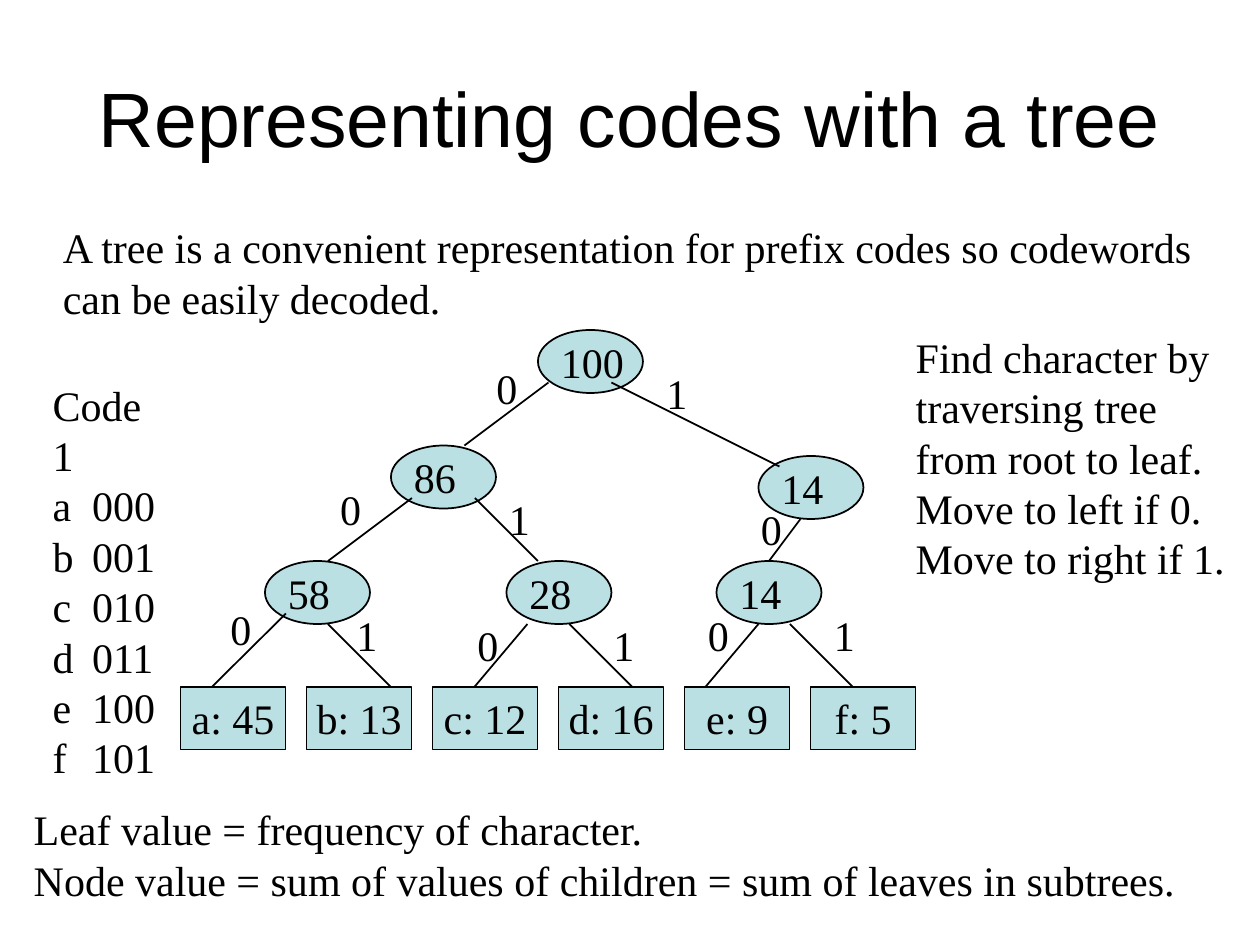
from pptx import Presentation
from pptx.dml.color import RGBColor
from pptx.enum.shapes import MSO_CONNECTOR, MSO_SHAPE
from pptx.enum.text import MSO_ANCHOR, MSO_AUTO_SIZE, PP_ALIGN
from pptx.oxml.ns import qn
from pptx.util import Pt
from lxml.etree import SubElement

COLORS = {"ink": "000000", "node": "BBE0E3"}
TITLE = "Representing codes with a tree"
INTRO = ("A tree is a convenient representation for prefix codes "
         "so codewords can be easily decoded.")
CODES = [("a", "000"), ("b", "001"), ("c", "010"),
         ("d", "011"), ("e", "100"), ("f", "101")]
TRAVERSAL = ("Find character by traversing tree from root to leaf. "
             "Move to left if 0. Move to right if 1.")
VALUES = ("Leaf value = frequency of character.\n"
          "Node value = sum of values of children = sum of leaves in subtrees.")

NODE_W, NODE_H = 60, 36
LEAF_LEFT, LEAF_TOP, LEAF_STEP = 103.2, 392.4, 72
CODE_TAB = 22.5

INNER_NODES = {
    "root": ("100", 307.4, 188.6),
    "left": ("86", 223.4, 254.6),
    "left-left": ("58", 151.4, 320.6),
    "left-right": ("28", 289.4, 320.6),
    "right-left": ("14", 409.4, 320.6),
    "right": ("14", 433.4, 260.6),
}
LEAVES = [("a", 45), ("b", 13), ("c", 12), ("d", 16), ("e", 9), ("f", 5)]
# parent, child, offset in parent, offset in child, bit, bit position
EDGES = [
    ("root", "left", (6, 30), (42, 0), "0", (276.5, 203.8)),
    ("left", "left-left", (12, 30), (36, 0), "0", (187.2, 272.9)),
    ("left-left", "a", (12, 30), (18, 0), "0", (124.6, 341.3)),
    ("root", "right", (42, 30), (12, 6), "1", (373.7, 206.6)),
    ("right", "right-left", (24, 36), (30, 0), "0", (427.7, 284.4)),
    ("right-left", "f", (42, 36), (24, 0), "1", (469.4, 344.9)),
    ("left", "left-right", (48, 30), (18, 0), "1", (283.7, 278.6)),
    ("left-right", "d", (36, 36), (42, 0), "1", (343.4, 350.6)),
    ("left-left", "b", (36, 36), (48, 0), "1", (196.6, 344.9)),
    ("left-right", "c", (12, 36), (24, 0), "0", (265.7, 350.6)),
    ("right-left", "e", (24, 36), (12, 0), "0", (397.4, 344.9)),
]


def color(name):
    return RGBColor.from_string(COLORS[name])


def style_text(frame, align=PP_ALIGN.LEFT, font="Times New Roman", size=24):
    for paragraph in frame.paragraphs:
        paragraph.alignment = align
        for run in paragraph.runs:
            run.font.name = font
            run.font.size = Pt(size)
            run.font.color.rgb = color("ink")


def add_text(slide, text, left, top, width, height, wrap=False):
    box = slide.shapes.add_textbox(Pt(left), Pt(top), Pt(width), Pt(height))
    frame = box.text_frame
    frame.word_wrap = wrap
    frame.auto_size = MSO_AUTO_SIZE.SHAPE_TO_FIT_TEXT
    frame.text = text
    style_text(frame)
    return frame


def add_node(slide, preset, left, top):
    node = slide.shapes.add_shape(preset, Pt(left), Pt(top), Pt(NODE_W), Pt(NODE_H))
    node.shadow.inherit = False
    node.fill.solid()
    node.fill.fore_color.rgb = color("node")
    node.line.color.rgb = color("ink")
    node.line.width = Pt(1)
    return node


def add_edge(slide, start, end):
    edge = slide.shapes.add_connector(
        MSO_CONNECTOR.STRAIGHT, *(Pt(length) for length in (*start, *end)))
    edge.line.color.rgb = color("ink")
    edge.line.width = Pt(1)
    SubElement(edge._element.spPr, qn("a:effectLst"))


def add_codes(slide):
    lines = ["Code 1"] + [f"{letter}\t{code}" for letter, code in CODES]
    frame = add_text(slide, "\n".join(lines), 23, 213.1, 82.8, 208.8)
    for paragraph in frame.paragraphs[1:]:
        tabs = SubElement(paragraph._p.get_or_add_pPr(), qn("a:tabLst"))
        SubElement(tabs, qn("a:tab"), pos=str(Pt(CODE_TAB)), algn="l")


def add_tree(slide):
    places = {}
    for key, (total, left, top) in INNER_NODES.items():
        places[key] = (left, top)
        add_node(slide, MSO_SHAPE.OVAL, left, top)
        add_text(slide, total, left + 6, top, 14.4 + 12 * len(total), NODE_H)

    for index, (letter, frequency) in enumerate(LEAVES):
        places[letter] = (LEAF_LEFT + index * LEAF_STEP, LEAF_TOP)
        frame = add_node(slide, MSO_SHAPE.RECTANGLE, *places[letter]).text_frame
        frame.word_wrap = False
        frame.vertical_anchor = MSO_ANCHOR.MIDDLE
        frame.text = f"{letter}: {frequency}"
        style_text(frame, PP_ALIGN.CENTER)

    for parent, child, exit_offset, entry_offset, bit, bit_place in EDGES:
        start = [sum(pair) for pair in zip(places[parent], exit_offset)]
        end = [sum(pair) for pair in zip(places[child], entry_offset)]
        add_edge(slide, start, end)
        add_text(slide, bit, *bit_place, 26, NODE_H)


def main():
    deck = Presentation()
    deck.slide_width, deck.slide_height = Pt(720), Pt(540)
    slide = deck.slides.add_slide(deck.slide_layouts[5])

    title = slide.shapes.title
    title.left, title.top, title.width, title.height = Pt(36), Pt(21.6), Pt(648), Pt(90)
    title.text_frame.text = TITLE
    title.text_frame.vertical_anchor = MSO_ANCHOR.MIDDLE
    style_text(title.text_frame, PP_ALIGN.CENTER, "Arial", 44)

    add_text(slide, INTRO, 28.8, 123.1, 661, 64.8, wrap=True)
    add_codes(slide)
    add_tree(slide)
    add_text(slide, VALUES, 12.2, 455.8, 666.7, 64.8)
    add_text(slide, TRAVERSAL, 516.2, 185.8, 203.8, 151.2, wrap=True)
    deck.save("out.pptx")


if __name__ == "__main__":
    main()
